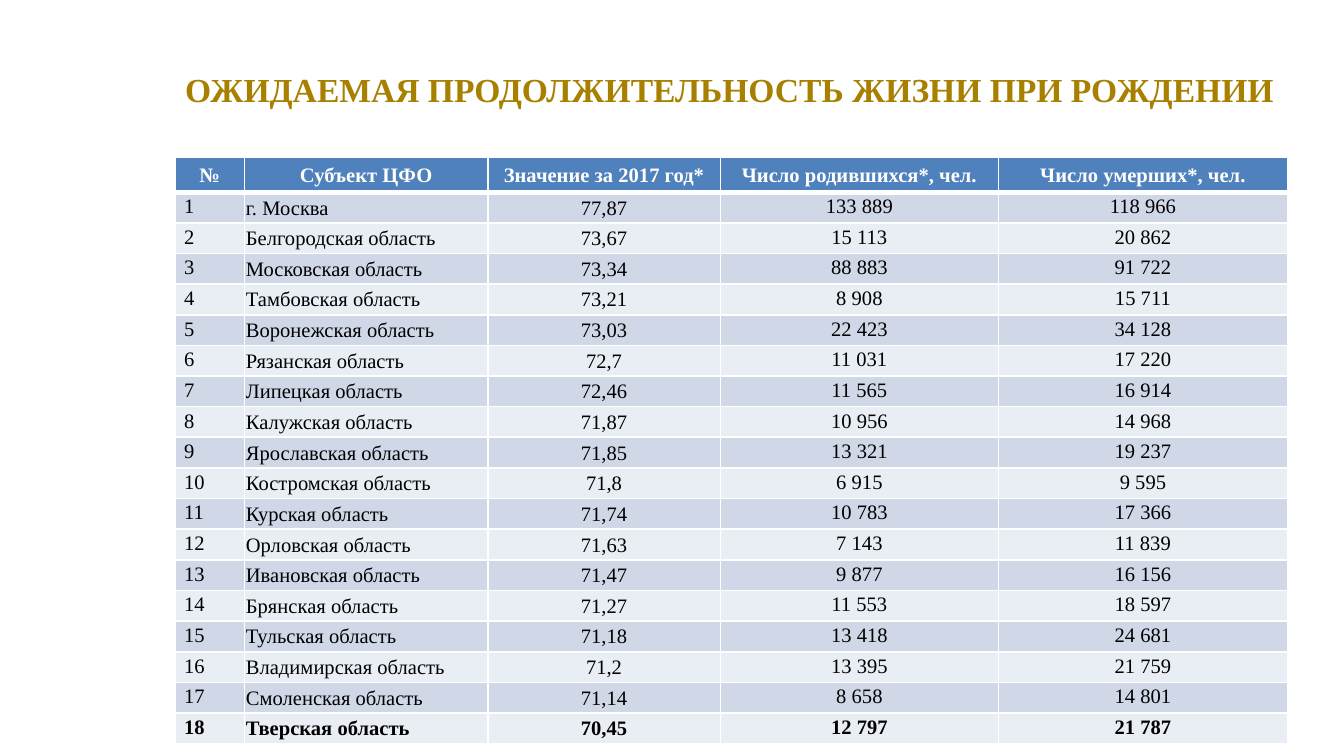
from lxml import etree
from pptx import Presentation
from pptx.dml.color import RGBColor
from pptx.enum.text import MSO_ANCHOR, PP_ALIGN
from pptx.oxml.ns import qn
from pptx.util import Inches, Pt

LEFT, CENTER = PP_ALIGN.LEFT, PP_ALIGN.CENTER
TOP, MIDDLE = MSO_ANCHOR.TOP, MSO_ANCHOR.MIDDLE
COLORS = {
    "title": "A88000",
    "header": "4F81BD",
    "odd": "D0D8E8",
    "even": "E9EDF4",
    "white": "FFFFFF",
    "black": "000000",
}
FONT = "Times New Roman"
SLIDE_WIDTH = 10
SLIDE_HEIGHT = SLIDE_WIDTH * 9 / 16
WIDE_MARGINS = (0.07, 0.04, 0.07, 0.03)
TIGHT_MARGINS = (0.01, 0.01, 0.01, 0)
COLUMN_WIDTHS = (0.52, 1.81, 1.73, 2.07, 2.15)
HEADER_HEIGHT, BODY_HEIGHT = 0.26, 4.11
HEADERS = ("№", "Субъект ЦФО", "Значение за 2017 год*",
           "Число родившихся*, чел.", "Число умерших*, чел.")
REGIONS = (
    ("г. Москва", "77,87", "133 889", "118 966"),
    ("Белгородская область", "73,67", "15 113", "20 862"),
    ("Московская область", "73,34", "88 883", "91 722"),
    ("Тамбовская область", "73,21", "8 908", "15 711"),
    ("Воронежская область", "73,03", "22 423", "34 128"),
    ("Рязанская область", "72,7", "11 031", "17 220"),
    ("Липецкая область", "72,46", "11 565", "16 914"),
    ("Калужская область", "71,87", "10 956", "14 968"),
    ("Ярославская область", "71,85", "13 321", "19 237"),
    ("Костромская область", "71,8", "6 915", "9 595"),
    ("Курская область", "71,74", "10 783", "17 366"),
    ("Орловская область", "71,63", "7 143", "11 839"),
    ("Ивановская область", "71,47", "9 877", "16 156"),
    ("Брянская область", "71,27", "11 553", "18 597"),
    ("Тульская область", "71,18", "13 418", "24 681"),
    ("Владимирская область", "71,2", "13 395", "21 759"),
    ("Смоленская область", "71,14", "8 658", "14 801"),
    ("Тверская область", "70,45", "12 797", "21 787"),
)


def write_text(frame, text, size=11, color="black", bold=False, align=CENTER, spacing=None):
    paragraph = frame.paragraphs[0]
    paragraph.alignment = align
    if spacing:
        paragraph.line_spacing = Pt(spacing)
    run = paragraph.add_run()
    run.text = text
    run.font.name = FONT
    run.font.size = Pt(size)
    run.font.bold = bold
    run.font.color.rgb = RGBColor.from_string(COLORS[color])


class SlideBuilder:
    """Draws styled elements on the current slide."""

    def __init__(self, slide):
        self.slide = slide

    def set_margins(self, target, margins):
        left, top, right, bottom = map(Inches, margins)
        target.margin_left, target.margin_top = left, top
        target.margin_right, target.margin_bottom = right, bottom

    def title(self, text, left, top, width, height):
        box = self.slide.shapes.add_textbox(*map(Inches, (left, top, width, height)))
        frame = box.text_frame
        frame.word_wrap = True
        self.set_margins(frame, (0.07, 0.04, 0.07, 0.04))
        write_text(frame, text, size=18, color="title", bold=True)

    def borders(self, cell, top, bottom):
        properties = cell._tc.get_or_add_tcPr()
        for side, points in (("L", 1), ("R", 1), ("T", top), ("B", bottom)):
            line = etree.SubElement(properties, qn(f"a:ln{side}"), w=str(Pt(points)))
            fill = etree.SubElement(line, qn("a:solidFill"))
            etree.SubElement(fill, qn("a:srgbClr"), val=COLORS["white"])

    def cell(self, cell, text, fill, margins=WIDE_MARGINS, anchor=TOP,
             top=1, bottom=1, **text_format):
        self.borders(cell, top, bottom)
        cell.fill.solid()
        cell.fill.fore_color.rgb = RGBColor.from_string(COLORS[fill])
        self.set_margins(cell, margins)
        cell.vertical_anchor = anchor
        write_text(cell.text_frame, text, **text_format)

    def region_table(self, left, top):
        frame = self.slide.shapes.add_table(
            len(REGIONS) + 1, len(HEADERS), Inches(left), Inches(top),
            Inches(sum(COLUMN_WIDTHS)), Inches(HEADER_HEIGHT + BODY_HEIGHT))
        table = frame.table
        table.horz_banding = False
        for column, width in zip(table.columns, COLUMN_WIDTHS):
            column.width = Inches(width)
        for index, row in enumerate(table.rows):
            row.height = Inches(BODY_HEIGHT / len(REGIONS) if index else HEADER_HEIGHT)
        for column, text in enumerate(HEADERS):
            self.cell(table.cell(0, column), text, "header", bottom=3,
                      color="white", bold=True, spacing=13)
        for number, region in enumerate(REGIONS, start=1):
            for column, text in enumerate((str(number), *region)):
                tight = column in (1, 2)
                self.cell(table.cell(number, column), text,
                          "odd" if number % 2 else "even",
                          margins=TIGHT_MARGINS if tight else WIDE_MARGINS,
                          anchor=MIDDLE if tight else TOP,
                          top=3 if number == 1 else 1,
                          bold=number == len(REGIONS),
                          align=LEFT if column < 2 else CENTER,
                          spacing=None if tight else 11)


def main():
    presentation = Presentation()
    presentation.slide_width = Inches(SLIDE_WIDTH)
    presentation.slide_height = Inches(SLIDE_HEIGHT)
    builder = SlideBuilder(presentation.slides.add_slide(presentation.slide_layouts[6]))
    builder.title("ОЖИДАЕМАЯ ПРОДОЛЖИТЕЛЬНОСТЬ ЖИЗНИ ПРИ РОЖДЕНИИ", 1.25, 0.47, 8.36, 0.51)
    builder.region_table(1.3, 1.17)
    presentation.save("out.pptx")


if __name__ == "__main__":
    main()
